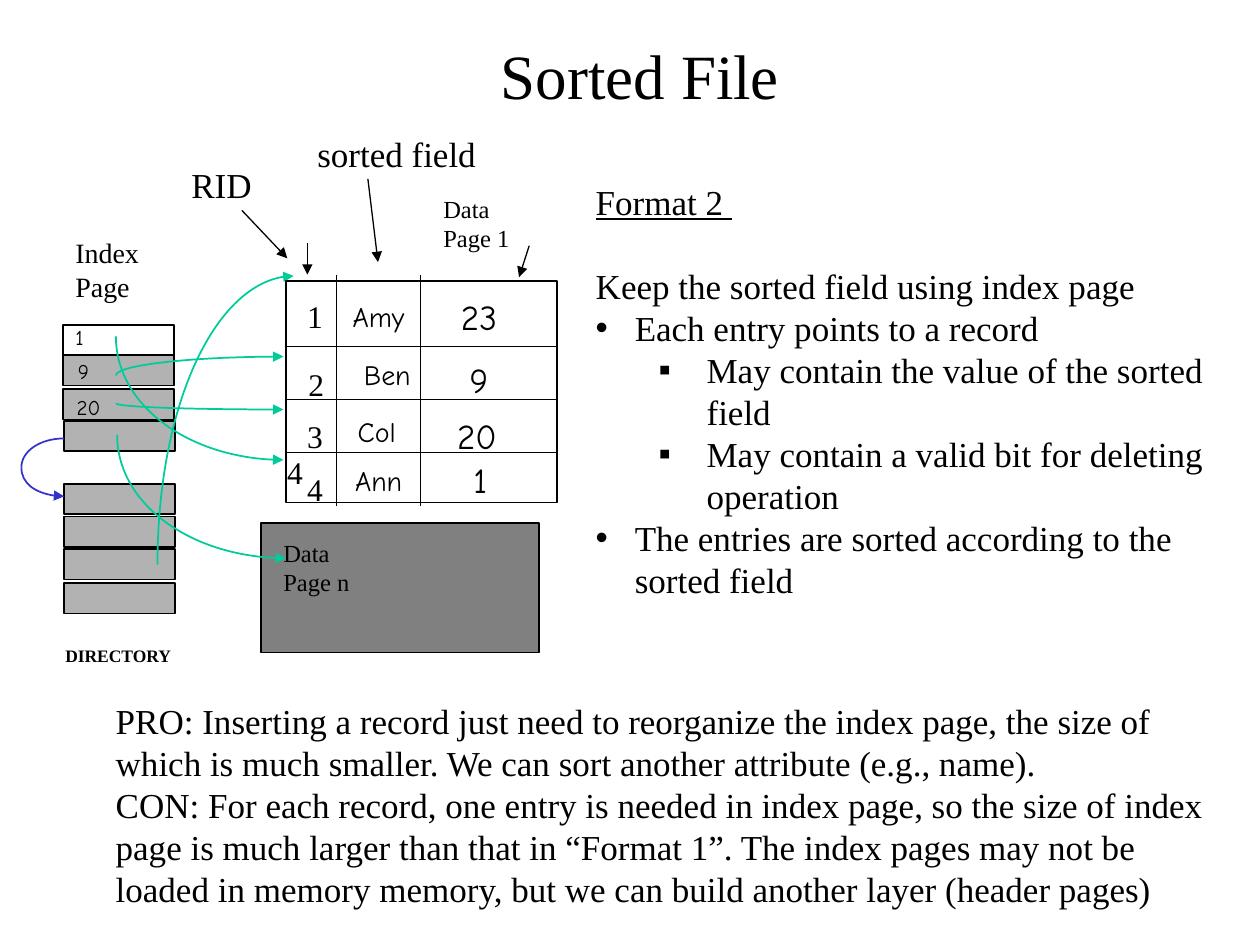
from pptx import Presentation
from pptx import util as u
from pptx.dml.color import RGBColor
from pptx.enum import shapes, text
from pptx.oxml.ns import qn
from lxml import etree

PX = 9144  # EMU in one px, 100 px to the inch
COLORS = {
    "ink": "000000", "entry": "B2B2B2", "data": "808080",
    "pointer": "00CC99", "next": "3333CC",
}
SERIF, HAND = "Times New Roman", "Comic Neue"


def color(name):
    return RGBColor.from_string(COLORS[name])


def style_text(box, size, font, bold=False):
    for para in box.text_frame.paragraphs:
        for span in para.runs:
            span.font.size = u.Pt(size)
            span.font.name = font
            span.font.bold = bold
            span.font.color.rgb = color("ink")


def add_text(page, words, left, top, width, height, size, font=SERIF, wrap=False, bold=False):
    box = page.shapes.add_textbox(left * PX, top * PX, width * PX, height * PX)
    frame = box.text_frame
    frame.word_wrap = wrap
    frame.auto_size = text.MSO_AUTO_SIZE.SHAPE_TO_FIT_TEXT
    frame.text = words
    style_text(box, size, font, bold)
    return box


def add_box(page, left, top, width, height, fill=None):
    box = page.shapes.add_shape(
        shapes.MSO_SHAPE.RECTANGLE, left * PX, top * PX, width * PX, height * PX)
    box.shadow.inherit = False
    if fill:
        box.fill.solid()
        box.fill.fore_color.rgb = color(fill)
    else:
        box.fill.background()
    box.line.color.rgb = color("ink")
    box.line.width = u.Pt(1)


def add_arrowhead(line):
    etree.SubElement(line.get_or_add_ln(), qn("a:tailEnd"), type="triangle")


def add_line(page, x1, y1, x2, y2, arrow=False):
    line = page.shapes.add_connector(
        shapes.MSO_CONNECTOR.STRAIGHT, x1 * PX, y1 * PX, x2 * PX, y2 * PX)
    etree.SubElement(line._element.spPr, qn("a:effectLst"))
    line.line.color.rgb = color("ink")
    line.line.width = u.Pt(0.75)
    if arrow:
        add_arrowhead(line)


def add_arc(page, x1, y1, x2, y2, stroke, arrow=True):
    """Quarter ellipse that leaves vertically and arrives horizontally."""
    controls = [(x1, y1 + 0.55 * (y2 - y1)), (x1 + 0.45 * (x2 - x1), y2)]
    builder = page.shapes.build_freeform(x1, y1, scale=PX)
    builder.add_line_segments(controls + [(x2, y2)], close=False)
    arc = builder.convert_to_shape()
    # Join the three segments into one Bezier curve
    segments = list(arc._element.iter(qn("a:lnTo")))
    curve = etree.SubElement(segments[0].getparent(), qn("a:cubicBezTo"))
    for segment in segments:
        curve.append(segment[0])
        segment.getparent().remove(segment)
    arc.shadow.inherit = False
    arc.fill.background()
    arc.line.color.rgb = color(stroke)
    arc.line.width = u.Pt(1)
    if arrow:
        add_arrowhead(arc)


def add_bullet(para, symbol, margin, hanging):
    props = para._p.get_or_add_pPr()
    props.set("marL", str(margin * PX))
    props.set("indent", str(-hanging * PX))
    etree.SubElement(props, qn("a:buFont"), typeface="Arial")
    etree.SubElement(props, qn("a:buChar"), char=symbol)


def add_title(page):
    title = page.shapes.title
    title.left, title.top, title.width, title.height = (n * PX for n in (83, 28, 850, 62))
    title.text_frame.text = "Sorted File"
    title.text_frame.vertical_anchor = text.MSO_ANCHOR.MIDDLE
    title.text_frame.paragraphs[0].alignment = text.PP_ALIGN.CENTER
    style_text(title, 36, SERIF)


def add_index(page):
    add_text(page, "Index\nPage", 50, 182, 77, 64, 16)
    add_box(page, 50, 258, 88, 24)
    for left, top in ((50, 282), (50, 309), (51, 334), (51, 384), (51, 410), (51, 436), (51, 463)):
        add_box(page, left, top, 88, 24, "entry")
    add_text(page, "DIRECTORY", 42, 507, 106, 27, 10, bold=True)
    for key, left, top, width in (("1", 50, 253, 28), ("9", 52, 280, 31), ("20", 51, 308, 41)):
        add_text(page, key, left, top, width, 30, 12, HAND)


def add_data_page(page):
    # Grid
    left, top, width, height = 227, 223, 215, 176
    add_box(page, left, top, width, height)
    for y in range(275, 360, 42):
        add_line(page, left, y, left + width, y)
    for x in (267, 334):
        add_line(page, x, 218, x, 402)
    # Records: each value with its left, top and width
    records = [
        (("1", 234, 231, 33), ("Amy", 270, 233, 66), ("23", 356, 230, 55)),
        (("2", 235, 285, 33), ("Ben", 279, 279, 58), ("9", 363, 280, 37)),
        (("3", 234, 326, 33), ("Col", 274, 324, 52), ("20", 353, 324, 55)),
        (("4", 234, 368, 33), ("Ann", 272, 363, 60), ("1", 366, 359, 33)),
    ]
    styles = ((40, 18, SERIF), (37, 16, HAND), (44, 20, HAND))
    for record in records:
        for (value, x, y, w), (h, size, font) in zip(record, styles):
            add_text(page, value, x, y, w, h, size, font)
    add_text(page, "4", 218, 355, 33, 40, 18)


def add_labels(page):
    add_text(page, "sorted field", 242, 100, 147, 44, 20)
    add_text(page, "RID", 142, 125, 69, 44, 20)
    add_text(page, "Data\nPage 1", 342, 149, 73, 57, 14)
    for ends in ((292, 142, 300, 208), (192, 167, 228, 205),
                 (420, 195, 412, 220), (244, 193, 244, 218)):
        add_line(page, *ends, arrow=True)


def add_pointers(page):
    add_arc(page, 17, 371, 51, 348, "next", arrow=False)
    add_arc(page, 17, 371, 51, 394, "next")
    for ends in ((125, 448, 233, 219), (92, 267, 225, 365), (92, 320, 225, 325),
                 (92, 298, 225, 283), (93, 345, 227, 443)):
        add_arc(page, *ends, "pointer")


def add_format_notes(page):
    top_level, sub_level = ("•", 31, 31), ("▪", 88, 38)
    notes = [
        ("Format 2 ", None),
        ("Keep the sorted field using index page", None),
        ("Each entry points to a record", top_level),
        ("May contain the value of the sorted field", sub_level),
        ("May contain a valid bit for deleting operation", sub_level),
        ("The entries are sorted according to the sorted field", top_level),
    ]
    box = add_text(page, "\n".join(words for words, _ in notes), 463, 138, 504, 377, 20, wrap=True)
    paras = box.text_frame.paragraphs
    for para, (_, bullet) in zip(paras, notes):
        if bullet:
            add_bullet(para, *bullet)
        if bullet == sub_level:
            para.level = 1
    paras[0].runs[0].font.underline = True
    paras[1].space_before = u.Pt(24)


def main():
    deck = Presentation()
    deck.slide_width, deck.slide_height = 1000 * PX, 750 * PX
    page = deck.slides.add_slide(deck.slide_layouts[5])
    add_title(page)
    # Last data page
    add_box(page, 207, 415, 221, 103, "data")
    add_text(page, "Data\nPage n", 215, 422, 73, 57, 14)
    # Index and first data page
    add_index(page)
    add_pointers(page)
    add_labels(page)
    add_data_page(page)
    # Explanations
    add_format_notes(page)
    add_text(
        page,
        "PRO: Inserting a record just need to reorganize the index page, the size of which is "
        "much smaller. We can sort another attribute (e.g., name).\n"
        "CON: For each record, one entry is needed in index page, so the size of index page is "
        "much larger than that in “Format 1”. The index pages may not be loaded in memory "
        "memory, but we can build another layer (header pages)",
        82, 550, 883, 178, 20, wrap=True)
    deck.save("out.pptx")


if __name__ == "__main__":
    main()
